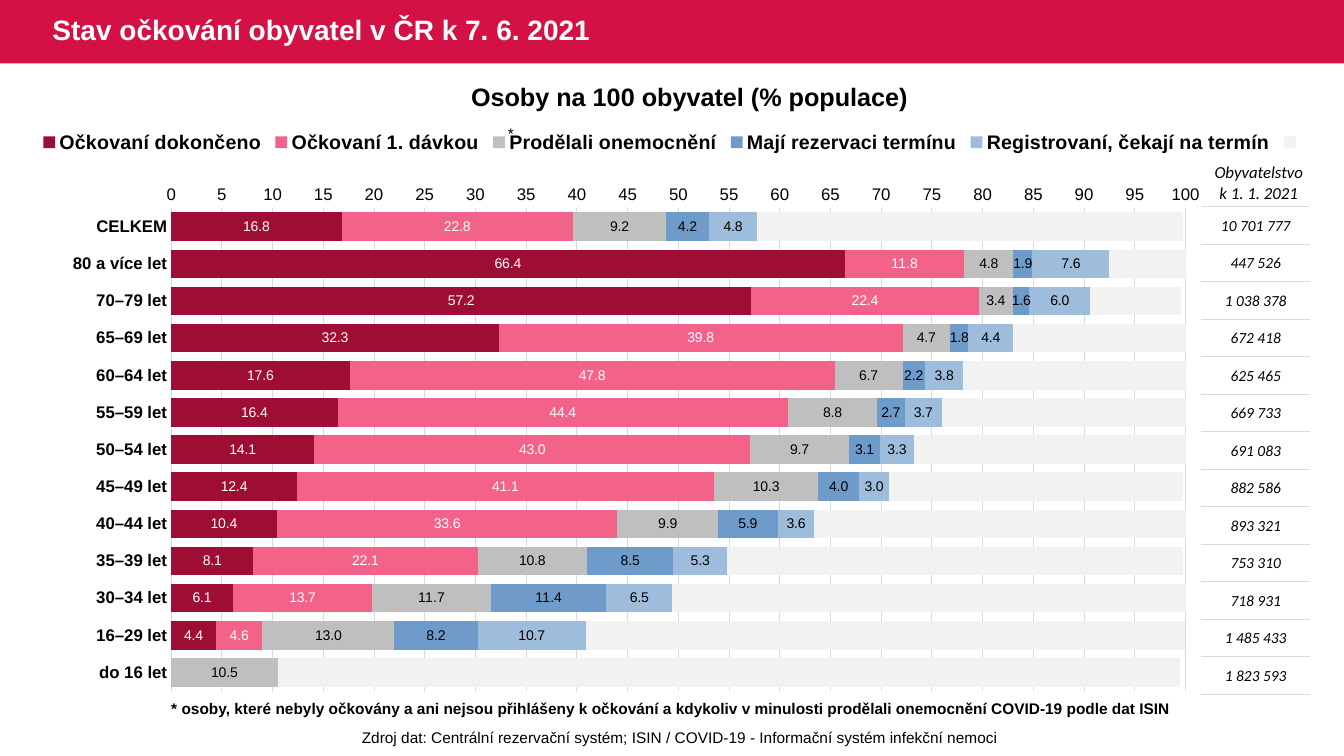
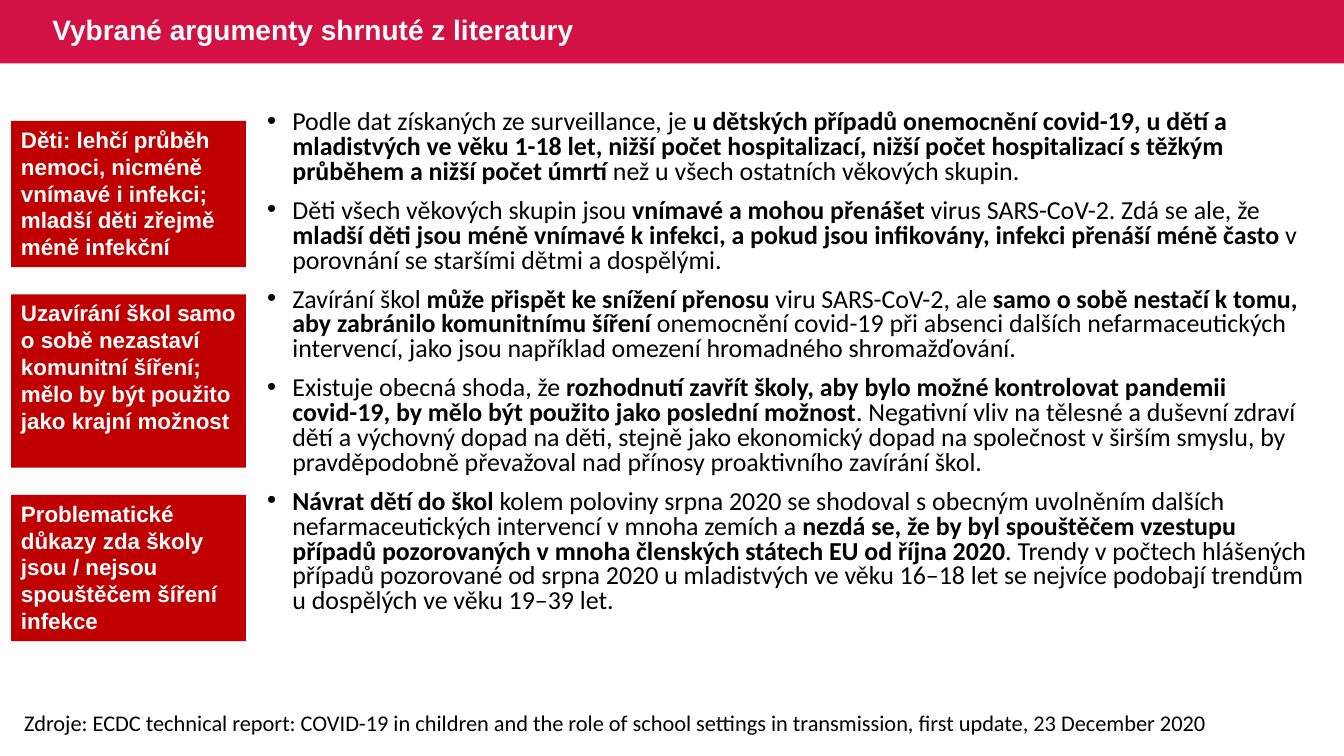
"""Build two slides on vaccination status and on arguments about schools."""
from dataclasses import dataclass

from lxml import etree
from pptx import Presentation
from pptx.chart.data import CategoryChartData
from pptx.dml.color import RGBColor as Color
from pptx.enum.chart import XL_CHART_TYPE as ChartType, XL_LEGEND_POSITION as LegendPosition
from pptx.enum.chart import XL_TICK_MARK as TickMark
from pptx.enum.shapes import MSO_SHAPE as Preset
from pptx.enum.text import MSO_ANCHOR as Anchor, MSO_AUTO_SIZE as AutoSize, PP_ALIGN as Align
from pptx.oxml import parse_xml
from pptx.oxml.ns import nsdecls, qn
from pptx.util import Inches, Pt


@dataclass(frozen=True)
class Theme:
    heading_font: str = "Arial"
    body_font: str = "Calibri"
    band: str = "D31145"
    card: str = "C00000"
    dark: str = "000000"
    light: str = "FFFFFF"
    rule: str = "D9D9D9"
    title: float = 20
    subtitle: float = 18
    body: float = 18.5
    card_text: float = 16
    legend: float = 14
    axis: float = 12
    note: float = 11
    label: float = 10


THEME = Theme()
SLIDE_SIZE = (13.33, 7.5)
BAND_HEIGHT = 0.63

STATUS_TITLE = "Stav očkování obyvatel v ČR k 7. 6. 2021"
AGE_GROUPS = [
    ("CELKEM", "10 701 777"),
    ("80 a více let", "447 526"),
    ("70–79 let", "1 038 378"),
    ("65–69 let", "672 418"),
    ("60–64 let", "625 465"),
    ("55–59 let", "669 733"),
    ("50–54 let", "691 083"),
    ("45–49 let", "882 586"),
    ("40–44 let", "893 321"),
    ("35–39 let", "753 310"),
    ("30–34 let", "718 931"),
    ("16–29 let", "1 485 433"),
    ("do 16 let", "1 823 593"),
]
SERIES = [
    ("Očkovaní dokončeno", "9E0D34", THEME.light,
     (16.8, 66.4, 57.2, 32.3, 17.6, 16.4, 14.1, 12.4, 10.4, 8.1, 6.1, 4.4, None)),
    ("Očkovaní 1. dávkou", "F26289", THEME.light,
     (22.8, 11.8, 22.4, 39.8, 47.8, 44.4, 43, 41.1, 33.6, 22.1, 13.7, 4.6, None)),
    ("Prodělali onemocnění", "BFBFBF", THEME.dark,
     (9.2, 4.8, 3.4, 4.7, 6.7, 8.8, 9.7, 10.3, 9.9, 10.8, 11.7, 13, 10.5)),
    ("Mají rezervaci termínu", "6E9BCA", THEME.dark,
     (4.2, 1.9, 1.6, 1.8, 2.2, 2.7, 3.1, 4, 5.9, 8.5, 11.4, 8.2, None)),
    ("Registrovaní, čekají na termín", "9EBCDB", THEME.dark,
     (4.8, 7.6, 6, 4.4, 3.8, 3.7, 3.3, 3, 3.6, 5.3, 6.5, 10.7, None)),
    (" ", "F2F2F2", None, (42, 8, 9, 17, 22, 24, 27, 29, 37, 45, 51, 59, 89)),
]
CHART_FRAME = (0.29, 0.77, 12.8, 6.38)
PLOT_LAYOUT = (0.11, 0.203, 0.786, 0.751)
LEGEND_LAYOUT = (0.005, 0.078, 0.99, 0.045)
POPULATION_FRAME = (11.92, 2.05, 1.07, 4.84)

NOTE = {"size": THEME.note}
STATUS_TEXTS = [
    (["Zdroj dat: Centrální rezervační systém; ISIN / COVID-19 - Informační systém infekční nemoci"],
     (3.49, 7.17, 6.54, 0.29), NOTE, Align.LEFT, False),
    (["Osoby na 100 obyvatel (% populace)"],
     (2.11, 0.76, 9.46, 0.4), {"size": THEME.subtitle, "bold": True}, Align.CENTER, True),
    (["Obyvatelstvo", "k 1. 1. 2021"], (11.92, 1.56, 1.13, 0.5),
     {"size": THEME.axis, "name": THEME.body_font, "italic": True}, Align.CENTER, False),
    (["*"], (4.94, 1.18, 0.26, 0.29), NOTE, Align.LEFT, False),
    (["* osoby, které nebyly očkovány a ani nejsou přihlášeny k očkování a kdykoliv v minulosti "
      "prodělali onemocnění COVID-19 podle dat ISIN"],
     (1.6, 6.89, 10.18, 0.29), {**NOTE, "bold": True}, Align.LEFT, False),
]

ARGUMENTS_TITLE = "Vybrané argumenty shrnuté z literatury"
ARGUMENTS = [
    [("Podle dat získaných ze surveillance, je ", False),
     ("u dětských případů onemocnění covid-19, u dětí a mladistvých ve věku 1-18 let, nižší počet "
      "hospitalizací, nižší počet hospitalizací s těžkým průběhem a nižší počet úmrtí", True),
     (" než u všech ostatních věkových skupin.", False)],
    [("Děti všech věkových skupin jsou ", False),
     ("vnímavé a mohou přenášet", True),
     (" virus SARS-CoV-2. Zdá se ale, že ", False),
     ("mladší děti jsou méně vnímavé k infekci, a pokud jsou infikovány, infekci přenáší méně často", True),
     (" v porovnání se staršími dětmi a dospělými.", False)],
    [("Zavírání škol ", False),
     ("může přispět ke snížení přenosu ", True),
     ("viru SARS-CoV-2, ale ", False),
     ("samo o sobě nestačí k tomu, aby zabránilo komunitnímu šíření", True),
     (" onemocnění covid-19 při absenci dalších nefarmaceutických intervencí, jako jsou například "
      "omezení hromadného shromažďování.", False)],
    [("Existuje obecná shoda, že ", False),
     ("rozhodnutí zavřít školy, aby bylo možné kontrolovat pandemii covid-19, by mělo být použito "
      "jako poslední možnost", True),
     (". Negativní vliv na tělesné a duševní zdraví dětí a výchovný dopad na děti, stejně jako "
      "ekonomický dopad na společnost v širším smyslu, by pravděpodobně převažoval nad přínosy "
      "proaktivního zavírání škol.", False)],
    [("Návrat dětí do škol ", True),
     ("kolem poloviny srpna 2020 se shodoval s obecným uvolněním dalších nefarmaceutických "
      "intervencí v mnoha zemích a ", False),
     ("nezdá se, že by byl spouštěčem vzestupu případů pozorovaných v mnoha členských státech EU "
      "od října 2020", True),
     (". Trendy v počtech hlášených případů pozorované od srpna 2020 u mladistvých ve věku 16–18 let "
      "se nejvíce podobají trendům u dospělých ve věku 19–39 let.", False)],
]
CARDS = [
    ("Děti: lehčí průběh nemoci, nicméně vnímavé i infekci; mladší děti zřejmě méně infekční", 1.45),
    ("Uzavírání škol samo o sobě nezastaví komunitní šíření; mělo by být použito jako krajní možnost", 1.72),
    ("Problematické důkazy zda školy jsou / nejsou spouštěčem šíření infekce", 1.45),
]
CARD_LEFT, CARD_TOP, CARD_WIDTH, CARD_GAP = 0.11, 1.2, 2.33, 0.27
LITERATURE = ("Zdroje: ECDC technical report: COVID-19 in children and the role of school settings "
              "in transmission, first update, 23 December 2020")


def inches(frame):
    return [Inches(value) for value in frame]


def apply_format(target, **values):
    for name, value in values.items():
        setattr(target, name, value)


def style_font(font, size, name=THEME.heading_font, color=THEME.dark, bold=False, italic=False):
    apply_format(font, size=Pt(size), name=name, bold=bold, italic=italic)
    font.color.rgb = Color.from_string(color)


def fill_solid(part, color):
    part.fill.solid()
    part.fill.fore_color.rgb = Color.from_string(color)


def place(shape, frame):
    apply_format(shape, **dict(zip(("left", "top", "width", "height"), inches(frame))))


def write_lines(frame, lines, font, align=Align.LEFT):
    for index, line in enumerate(lines):
        paragraph = frame.add_paragraph() if index else frame.paragraphs[0]
        paragraph.alignment = align
        run = paragraph.add_run()
        run.text = line
        style_font(run.font, **font)


def add_text(slide, lines, frame, font, align=Align.LEFT, wrap=True):
    box = slide.shapes.add_textbox(*inches(frame))
    box.text_frame.word_wrap = wrap
    write_lines(box.text_frame, lines, font, align)


def add_box(slide, frame, color):
    box = slide.shapes.add_shape(Preset.RECTANGLE, *inches(frame))
    box.shadow.inherit = False
    fill_solid(box, color)
    box.line.fill.background()
    return box


def add_slide(presentation, layout, title, title_width):
    slide = presentation.slides.add_slide(presentation.slide_layouts.get_by_name(layout))
    shape = slide.shapes.title
    place(shape, (0.42, 0, title_width, BAND_HEIGHT))
    apply_format(shape.text_frame, vertical_anchor=Anchor.MIDDLE, auto_size=AutoSize.NONE)
    write_lines(shape.text_frame, [title], {"size": THEME.title, "color": THEME.light, "bold": True})
    shape.text_frame.paragraphs[0].line_spacing = 0.9
    return slide


def move_band_to_master(presentation, slide):
    band = add_box(slide, (0, 0, SLIDE_SIZE[0], BAND_HEIGHT), THEME.band)
    presentation.slide_master.shapes.element.insert(2, band.element)


def set_layout(parent, index, frame, inner=False):
    for layout in parent.findall(qn("c:layout")):
        parent.remove(layout)
    target = '<c:layoutTarget val="inner"/>' if inner else ""
    modes = "".join(f'<c:{side}Mode val="edge"/>' for side in "xy")
    sizes = "".join(f'<c:{side} val="{value}"/>' for side, value in zip("xywh", frame))
    parent.insert(index, parse_xml(
        f'<c:layout {nsdecls("c")}><c:manualLayout>{target}{modes}{sizes}</c:manualLayout></c:layout>'))


def style_line(line):
    line.color.rgb = Color.from_string(THEME.rule)
    line.width = Pt(0.75)


def add_status_chart(slide):
    data = CategoryChartData(number_format="General")
    data.categories = [group for group, _ in AGE_GROUPS]
    for name, _, _, values in SERIES:
        data.add_series(name, values)
    chart = slide.shapes.add_chart(ChartType.BAR_STACKED, *inches(CHART_FRAME), data).chart
    apply_format(chart, has_title=False, has_legend=True)
    style_font(chart.font, THEME.label)

    apply_format(chart.legend, position=LegendPosition.TOP, include_in_layout=False)
    style_font(chart.legend.font, THEME.legend, bold=True)
    root = chart._chartSpace
    set_layout(root.find(".//" + qn("c:legend")), 1, LEGEND_LAYOUT)
    set_layout(root.find(".//" + qn("c:plotArea")), 0, PLOT_LAYOUT, inner=True)

    ages, shares = chart.category_axis, chart.value_axis
    for axis in (ages, shares):
        apply_format(axis, major_tick_mark=TickMark.NONE, minor_tick_mark=TickMark.NONE)
        style_font(axis.tick_labels.font, THEME.axis, bold=axis is ages)
    ages.reverse_order = True
    style_line(ages.format.line)
    apply_format(shares, minimum_scale=0, maximum_scale=100, major_unit=5, has_major_gridlines=True)
    shares.format.line.fill.background()
    style_line(shares.major_gridlines.format.line)

    plot = chart.plots[0]
    apply_format(plot, gap_width=30, overlap=100, vary_by_categories=False)
    for series, (_, color, label_color, _) in zip(plot.series, SERIES):
        fill_solid(series.format, color)
        if label_color:
            labels = series.data_labels
            apply_format(labels, show_value=True, number_format="#,##0.0", number_format_is_linked=False)
            style_font(labels.font, THEME.label, color=label_color)


def add_population_table(slide):
    table = slide.shapes.add_table(len(AGE_GROUPS), 1, *inches(POPULATION_FRAME)).table
    apply_format(table, first_row=False, horz_banding=False)
    for row, (_, population) in zip(table.rows, AGE_GROUPS):
        row.height = Inches(POPULATION_FRAME[3] / len(AGE_GROUPS))
        cell = row.cells[0]
        apply_format(cell, vertical_anchor=Anchor.MIDDLE, margin_left=Inches(0.01),
                     margin_right=Inches(0.01), margin_top=Inches(0.01), margin_bottom=0)
        write_lines(cell.text_frame, [population],
                    {"size": THEME.note, "name": THEME.body_font, "italic": True}, Align.CENTER)
        properties = cell._tc.get_or_add_tcPr()
        for side in ("lnT", "lnB"):
            border = etree.SubElement(properties, qn("a:" + side), w=str(Pt(1)))
            fill = etree.SubElement(border, qn("a:solidFill"))
            etree.SubElement(fill, qn("a:srgbClr"), val=THEME.rule)
        cell.fill.background()


def add_arguments(slide):
    body = slide.placeholders[1]
    place(body, (2.55, 1.05, 10.58, 5.45))
    frame = body.text_frame
    apply_format(frame, auto_size=AutoSize.NONE, vertical_anchor=Anchor.TOP, word_wrap=True)
    for index, argument in enumerate(ARGUMENTS):
        paragraph = frame.add_paragraph() if index else frame.paragraphs[0]
        apply_format(paragraph, line_spacing=0.8, space_before=Pt(10 if index else 0))
        properties = paragraph._p.get_or_add_pPr()
        properties.set("marL", str(Inches(0.25)))
        properties.set("indent", str(Inches(-0.25)))
        etree.SubElement(properties, qn("a:buChar"), char="•")
        for text, bold in argument:
            run = paragraph.add_run()
            run.text = text
            style_font(run.font, THEME.body, THEME.body_font, bold=bold)


def add_cards(slide):
    top = CARD_TOP
    for text, height in CARDS:
        card = add_box(slide, (CARD_LEFT, top, CARD_WIDTH, height), THEME.card)
        apply_format(card.text_frame, vertical_anchor=Anchor.TOP, word_wrap=True)
        write_lines(card.text_frame, [text],
                    {"size": THEME.card_text, "color": THEME.light, "bold": True})
        top += height + CARD_GAP


def main():
    presentation = Presentation()
    presentation.slide_width, presentation.slide_height = inches(SLIDE_SIZE)

    status = add_slide(presentation, "Title Only", STATUS_TITLE, 7.21)
    move_band_to_master(presentation, status)
    add_status_chart(status)
    add_population_table(status)
    for text in STATUS_TEXTS:
        add_text(status, *text)

    arguments = add_slide(presentation, "Title and Content", ARGUMENTS_TITLE, 8.44)
    add_arguments(arguments)
    add_text(arguments, [LITERATURE], (0.14, 6.99, 12.71, 0.37),
             {"size": THEME.card_text, "name": THEME.body_font})
    add_cards(arguments)
    presentation.save("out.pptx")


if __name__ == "__main__":
    main()
